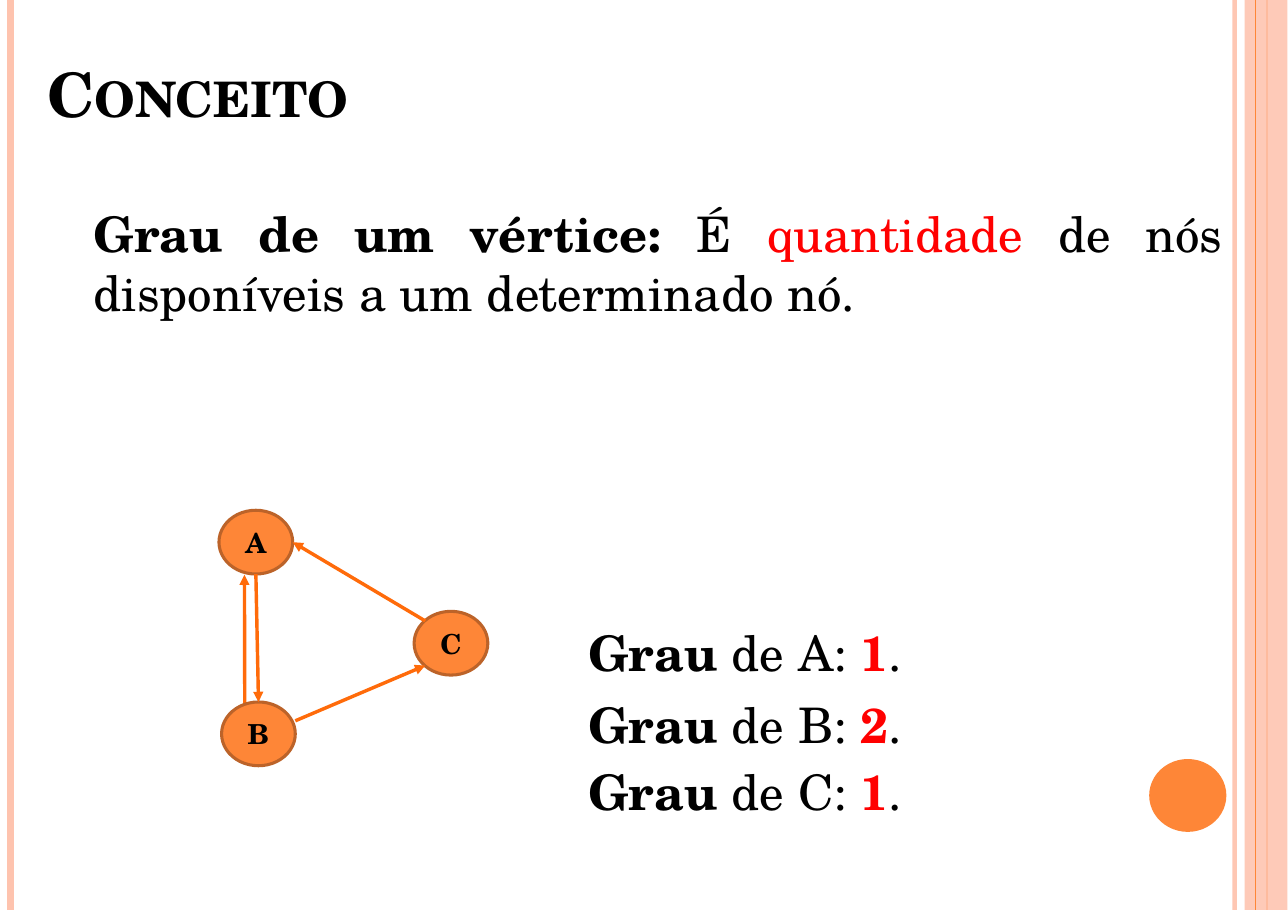
from dataclasses import dataclass

from lxml.etree import SubElement
from pptx import Presentation
from pptx.dml.color import RGBColor
from pptx.enum.shapes import MSO_CONNECTOR as Connector, MSO_SHAPE as Shape
from pptx.enum.text import MSO_ANCHOR as Anchor, MSO_AUTO_SIZE as AutoSize, PP_ALIGN as Align
from pptx.oxml.ns import qn
from pptx.util import Cm, Pt


@dataclass(frozen=True)
class Theme:
    """Colours, font and type sizes of the slide."""
    font: str = "TeX Gyre Schola"
    ink: str = "000000"
    accent: str = "FF0000"
    orange: str = "FE8637"
    outline: str = "BC6329"
    arrow: str = "FF6B0A"
    peach: str = "FEC3AE"
    title: int = 40
    body: int = 32
    label: int = 18


THEME = Theme()
WIDTH, HEIGHT = 29.7, 20.98
TITLE = "Conceito"
DEFINITION = [
    ("Grau de um vértice: ", True, THEME.ink),
    ("É ", False, THEME.ink),
    ("quantidade", False, THEME.accent),
    (" de nós disponíveis a um determinado nó.", False, THEME.ink),
]
DEGREES = [("A", 1, 14.05), ("B", 2, 15.72), ("C", 1, 17.25)]
NODES = {"A": (5.9, 12.5), "C": (10.4, 14.83), "B": (5.96, 16.92)}
NODE_SIZE = (1.7, 1.47)
BACK_EDGE = ("B", (-0.37, -0.41), "A", (-0.31, 1.02))
EDGES = [
    ("A", (0, 1), "B", (0, -1)),
    ("B", (1, -0.41), "C", (-0.7, 0.7)),
    ("C", (-0.7, -0.7), "A", (1, 0)),
]
LEFT_STRIPES = [(28.47, THEME.peach, 3, 93), (0.25, THEME.peach, 4.5, 100), (29.21, THEME.orange, 1.5, 100)]
FRONT_STRIPE = (28.96, THEME.orange, 0.75, 100)
BAND = (28.7, 0, 0.99, HEIGHT)
BADGE = (26.5, 17.5, 1.78, 1.68)


def set_alpha(element, percent):
    color = element.find(".//" + qn("a:srgbClr"))
    SubElement(color, qn("a:alpha")).set("val", str(percent * 1000))


def add_line(slide, start, end, color, width, alpha=100, arrow=False):
    line = slide.shapes.add_connector(Connector.STRAIGHT, *map(Cm, (*start, *end)))
    line.line.color.rgb = RGBColor.from_string(color)
    line.line.width = Pt(width)
    properties = line._element.spPr
    if alpha < 100:
        set_alpha(properties, alpha)
    if arrow:
        SubElement(properties.find(qn("a:ln")), qn("a:tailEnd")).set("type", "triangle")
    SubElement(properties, qn("a:effectLst"))


def add_stripe(slide, x, color, width, alpha):
    add_line(slide, (x, 0), (x, HEIGHT), color, width, alpha)


def add_filled(slide, kind, box, color, outline=None):
    shape = slide.shapes.add_shape(kind, *map(Cm, box))
    shape.shadow.inherit = False
    shape.fill.solid()
    shape.fill.fore_color.rgb = RGBColor.from_string(color)
    if outline:
        shape.line.color.rgb = RGBColor.from_string(outline)
        shape.line.width = Pt(2)
    else:
        shape.line.fill.background()
    return shape


def style_frame(frame, anchor, top=0):
    frame.word_wrap = True
    frame.auto_size = AutoSize.NONE
    frame.vertical_anchor = anchor
    frame.margin_left = frame.margin_right = frame.margin_bottom = 0
    frame.margin_top = Cm(top)


def style_font(font, size, bold=None, color=None):
    font.name = THEME.font
    font.size = Pt(size)
    if bold is not None:
        font.bold = bold
    if color:
        font.color.rgb = RGBColor.from_string(color)


def add_title(slide):
    title = slide.shapes.title
    title.left, title.top, title.width, title.height = map(Cm, (1.09, 1.24, 9.73, 1.75))
    style_frame(title.text_frame, Anchor.BOTTOM)
    paragraph = title.text_frame.paragraphs[0]
    paragraph.alignment = Align.LEFT
    run = paragraph.add_run()
    run.text = TITLE
    run._r.get_or_add_rPr().set("cap", "small")
    style_font(paragraph.font, THEME.title, True, THEME.ink)


def add_text(slide, box, runs):
    frame = slide.shapes.add_textbox(*map(Cm, box)).text_frame
    style_frame(frame, Anchor.TOP, 0.3)
    paragraph = frame.paragraphs[0]
    paragraph.alignment = Align.JUSTIFY
    style_font(paragraph.font, THEME.body)
    for text, bold, color in runs:
        run = paragraph.add_run()
        run.text = text
        run.font.bold = bold
        run.font.color.rgb = RGBColor.from_string(color)


def rim_point(name, offset):
    return [center + size / 2 * part for center, size, part in zip(NODES[name], NODE_SIZE, offset)]


def add_edge(slide, source, source_offset, target, target_offset):
    add_line(slide, rim_point(source, source_offset), rim_point(target, target_offset),
             THEME.arrow, 2.25, arrow=True)


def add_node(slide, name):
    node = add_filled(slide, Shape.OVAL, (*rim_point(name, (-1, -1)), *NODE_SIZE),
                      THEME.orange, THEME.outline)
    style_frame(node.text_frame, Anchor.MIDDLE)
    paragraph = node.text_frame.paragraphs[0]
    paragraph.text = name
    paragraph.alignment = Align.CENTER
    style_font(paragraph.font, THEME.label, True, THEME.ink)


def main():
    """Build the vertex degree slide."""
    presentation = Presentation()
    presentation.slide_width, presentation.slide_height = Cm(WIDTH), Cm(HEIGHT)
    slide = presentation.slides.add_slide(presentation.slide_layouts[5])
    for stripe in LEFT_STRIPES:
        add_stripe(slide, *stripe)
    band = add_filled(slide, Shape.RECTANGLE, BAND, THEME.peach)
    set_alpha(band._element.spPr, 87)
    add_stripe(slide, *FRONT_STRIPE)
    add_filled(slide, Shape.OVAL, BADGE, THEME.orange)
    add_title(slide)
    add_text(slide, (2.16, 4.39, 26.03, 3.05), DEFINITION)
    add_edge(slide, *BACK_EDGE)
    for name in NODES:
        add_node(slide, name)
    for edge in EDGES:
        add_edge(slide, *edge)
    for name, degree, top in DEGREES:
        add_text(slide, (13.56, top, 9, 1.68), [
            ("Grau ", True, THEME.ink),
            (f"de {name}: ", False, THEME.ink),
            (str(degree), True, THEME.accent),
            (".", False, THEME.ink),
        ])
    presentation.save("out.pptx")


if __name__ == "__main__":
    main()
